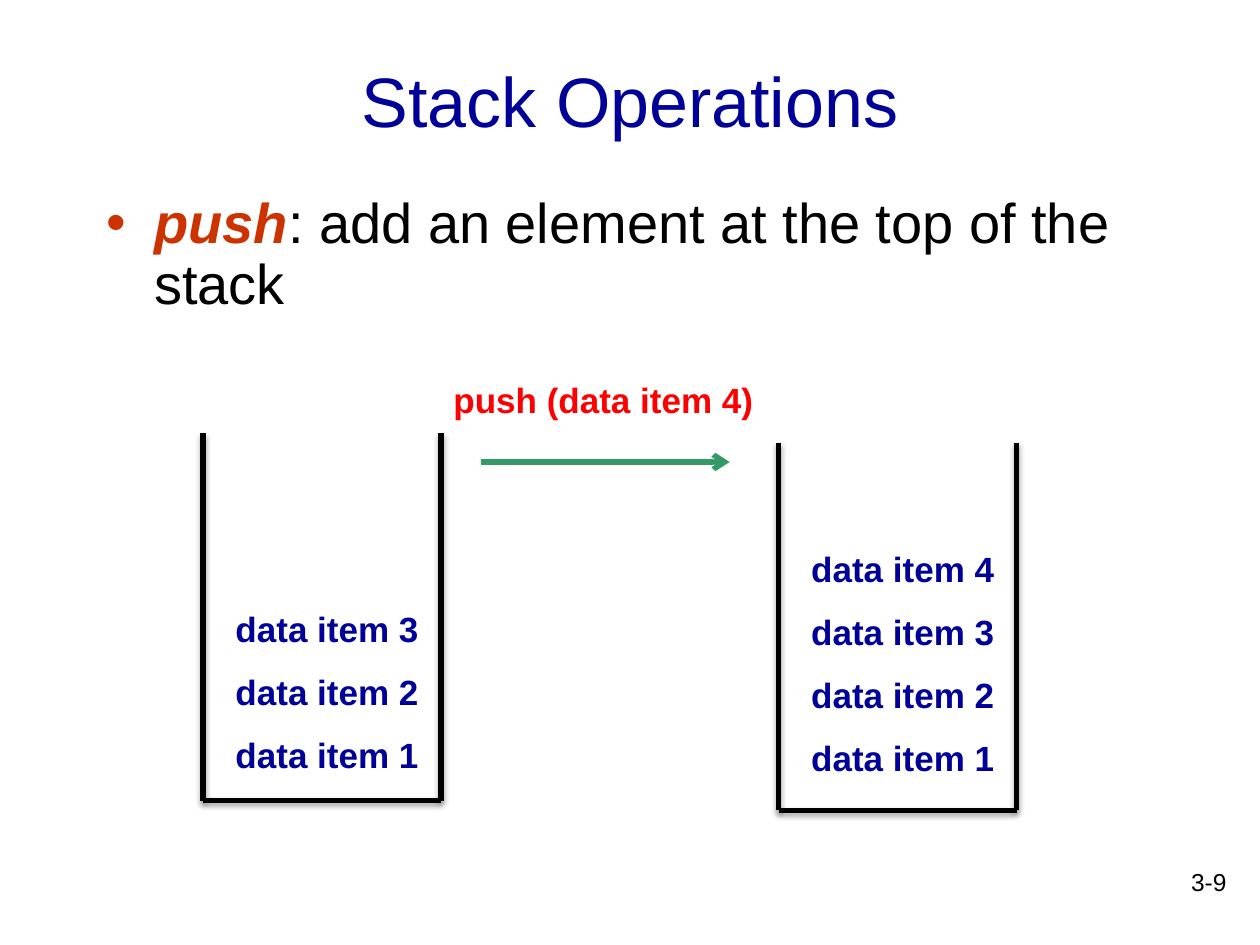
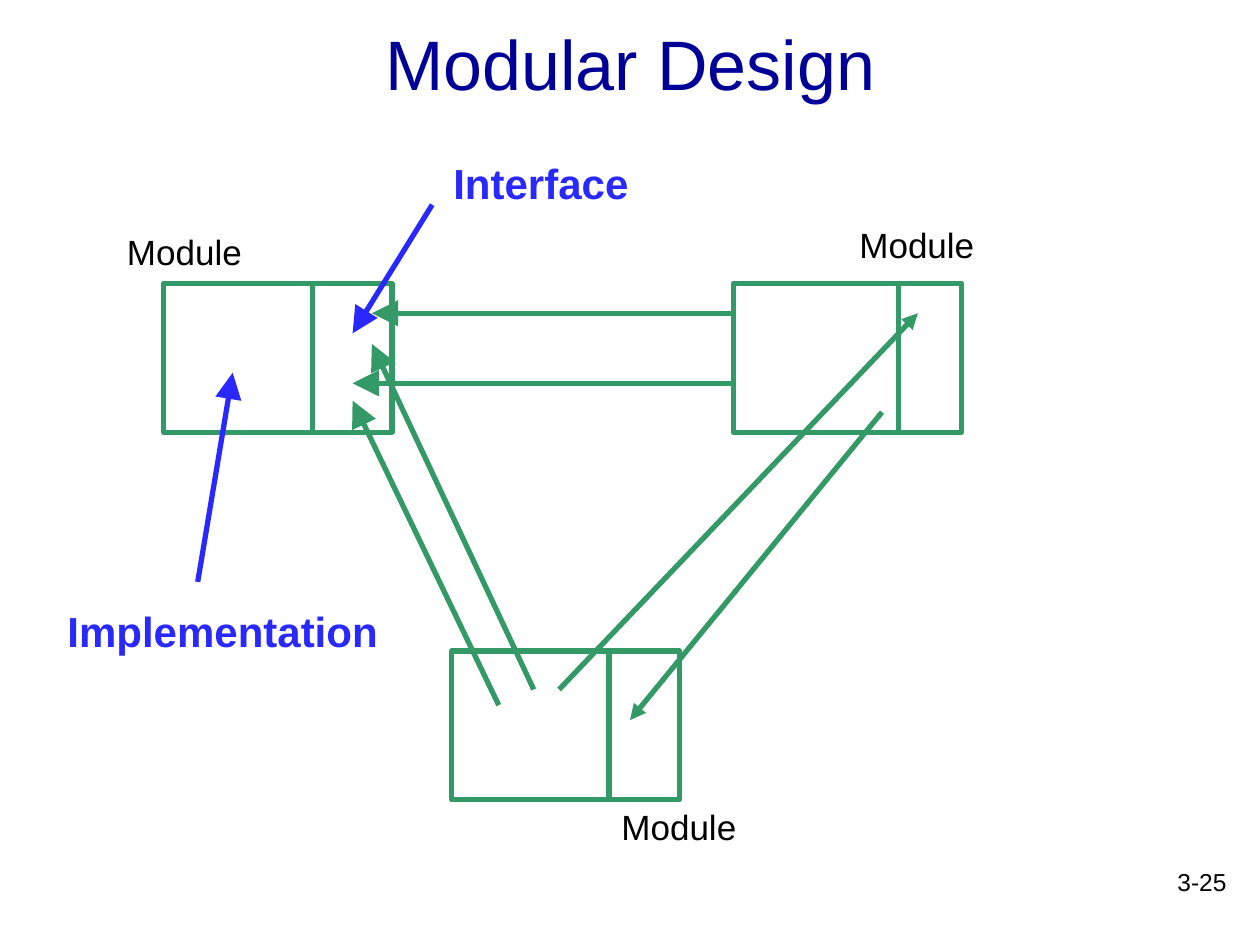
"""Build two slides: the stack push operation and a modular design diagram."""
from pptx import Presentation
from pptx.dml.color import RGBColor
from pptx.enum.shapes import MSO_CONNECTOR, MSO_SHAPE
from pptx.enum.text import MSO_ANCHOR, PP_ALIGN
from pptx.oxml.ns import qn
from pptx.oxml.xmlchemy import OxmlElement
from pptx.util import Pt

STRAIGHT = MSO_CONNECTOR.STRAIGHT
RECTANGLE = MSO_SHAPE.RECTANGLE
MIDDLE, TOP = MSO_ANCHOR.MIDDLE, MSO_ANCHOR.TOP
LEFT, CENTER, RIGHT = PP_ALIGN.LEFT, PP_ALIGN.CENTER, PP_ALIGN.RIGHT

FONT = "Arial"
COLORS = {"navy": "000099", "black": "000000", "rust": "CC3300",
          "red": "FF0000", "green": "339966", "blue": "2929FF"}
LINE_WIDTH = 3

PUSH_TERM, PUSH_MEANING = "push", ": add an element at the top of the stack"
PUSH_CALL = ("push (data item 4)", 252, 213, 187, 32)
PUSH_ARROW = (275, 264, 417, 264)
STACK_WIDTH, STACK_HEIGHT = 136, 210
STACKS = [
    {"left": 116, "top": 247.5, "items_top": 343.5, "count": 3},
    {"left": 445, "top": 253, "items_top": 309.5, "count": 4},
]

MODULE_WIDTH, MODULE_HEIGHT = 130.5, 85
MODULES = [
    {"left": 93.5, "top": 162, "divider": 85, "label": (65.5, 128)},
    {"left": 419, "top": 162, "divider": 94.5, "label": (484, 124)},
    {"left": 258, "top": 372, "divider": 90, "label": (348, 457)},
]
ARROWS = [
    (419, 179, 212.5, 179, "green", "lg"),
    (419, 219, 201.5, 219, "green", "lg"),
    (305, 394, 212.5, 196.5, "green", "lg"),
    (285, 403, 201.5, 229, "green", "lg"),
    (504, 235.5, 360, 411.5, "green", "med"),
    (319.5, 394, 524.5, 179, "green", "med"),
    (247, 117, 201.5, 190.5, "blue", "lg"),
    (113, 332.5, 133, 213, "blue", "lg"),
]
PARTS = [("Interface", 252, 86.5, 116, 36.5), ("Implementation", 31.5, 342.5, 194, 36.5)]


def rgb(name):
    return RGBColor.from_string(COLORS[name])


def add_element(parent, tag, **attributes):
    child = OxmlElement(tag)
    for key, value in attributes.items():
        child.set(key, str(value))
    parent.append(child)
    return child


def style_font(font, size, color, bold=False, italic=False):
    font.name, font.size, font.bold, font.italic = FONT, Pt(size), bold, italic
    font.color.rgb = rgb(color)


def add_text(slide, lines, left, top, width, height, size, color, bold=False,
             align=LEFT, anchor=TOP, wrap=False, space_after=0):
    box = slide.shapes.add_textbox(Pt(left), Pt(top), Pt(width), Pt(height))
    frame = box.text_frame
    frame.word_wrap, frame.vertical_anchor = wrap, anchor
    frame.text = "\n".join(lines)
    for paragraph in frame.paragraphs:
        paragraph.alignment, paragraph.space_after = align, Pt(space_after)
        style_font(paragraph.font, size, color, bold)


def add_line(slide, x1, y1, x2, y2, color, head=None, head_size="med", shadow=False):
    connector = slide.shapes.add_connector(STRAIGHT, Pt(x1), Pt(y1), Pt(x2), Pt(y2))
    connector.line.width = Pt(LINE_WIDTH)
    connector.line.color.rgb = rgb(color)
    properties = connector.element.spPr
    if head:
        add_element(properties.find(qn("a:ln")), "a:tailEnd", type=head, w=head_size, len=head_size)
    effects = add_element(properties, "a:effectLst")
    if shadow:
        outer = add_element(effects, "a:outerShdw", blurRad=Pt(3.1), dist=Pt(1.8),
                            dir=5400000, rotWithShape=0)
        black = add_element(outer, "a:srgbClr", val=COLORS["black"])
        add_element(black, "a:alpha", val=35000)


def add_slide(presentation, title, title_height, number):
    slide = presentation.slides.add_slide(presentation.slide_layouts[6])
    add_text(slide, [title], 54, 12, 612, title_height, 40, "navy",
             align=CENTER, anchor=MIDDLE, wrap=True)
    add_text(slide, [number], 558, 492, 150, 36, 14, "black", align=RIGHT, wrap=True)
    return slide


def add_definition(slide):
    box = slide.shapes.add_textbox(Pt(54), Pt(108), Pt(612), Pt(372))
    box.text_frame.word_wrap = True
    paragraph = box.text_frame.paragraphs[0]
    paragraph.line_spacing = 0.9
    properties = paragraph._p.get_or_add_pPr()
    properties.set("marL", str(Pt(27)))
    properties.set("indent", str(Pt(-27)))
    add_element(properties, "a:buFont", typeface=FONT)
    add_element(properties, "a:buChar", char="•")
    for text, color, strong in ((PUSH_TERM, "rust", True), (PUSH_MEANING, "black", False)):
        run = paragraph.add_run()
        run.text = text
        style_font(run.font, 32, color, strong, strong)


def add_stack(slide, left, top, items_top, count):
    right, bottom = left + STACK_WIDTH, top + STACK_HEIGHT
    for ends in ((left, top, left, bottom), (left, bottom, right, bottom),
                 (right, top, right, bottom)):
        add_line(slide, *ends, "black", shadow=True)
    items = [f"data item {number}" for number in range(count, 0, -1)]
    add_text(slide, items, left + 11.5, items_top, 119.5, 36 * count - 4, 20, "navy",
             bold=True, space_after=12)


def add_module(slide, left, top, divider, label):
    shape = slide.shapes.add_shape(RECTANGLE, Pt(left), Pt(top), Pt(MODULE_WIDTH), Pt(MODULE_HEIGHT))
    shape.shadow.inherit = False
    shape.fill.background()
    shape.line.color.rgb = rgb("green")
    shape.line.width = Pt(LINE_WIDTH)
    x = left + divider
    add_line(slide, x, top, x, top + MODULE_HEIGHT, "green")
    add_text(slide, ["Module"], *label, 80.5, 31.5, 20, "black")


def main():
    presentation = Presentation()
    presentation.slide_width, presentation.slide_height = Pt(720), Pt(540)

    slide = add_slide(presentation, "Stack Operations", 90, "3-9")
    add_definition(slide)
    for stack in STACKS:
        add_stack(slide, **stack)
    add_line(slide, *PUSH_ARROW, "green", head="arrow")
    call, *place = PUSH_CALL
    add_text(slide, [call], *place, 20, "red", bold=True)

    slide = add_slide(presentation, "Modular Design", 48, "3-25")
    for module in MODULES:
        add_module(slide, **module)
    for *ends, color, head_size in ARROWS:
        add_line(slide, *ends, color, "triangle", head_size)
    for part, *place in PARTS:
        add_text(slide, [part], *place, 24, "blue", bold=True)

    presentation.save("out.pptx")


if __name__ == "__main__":
    main()
